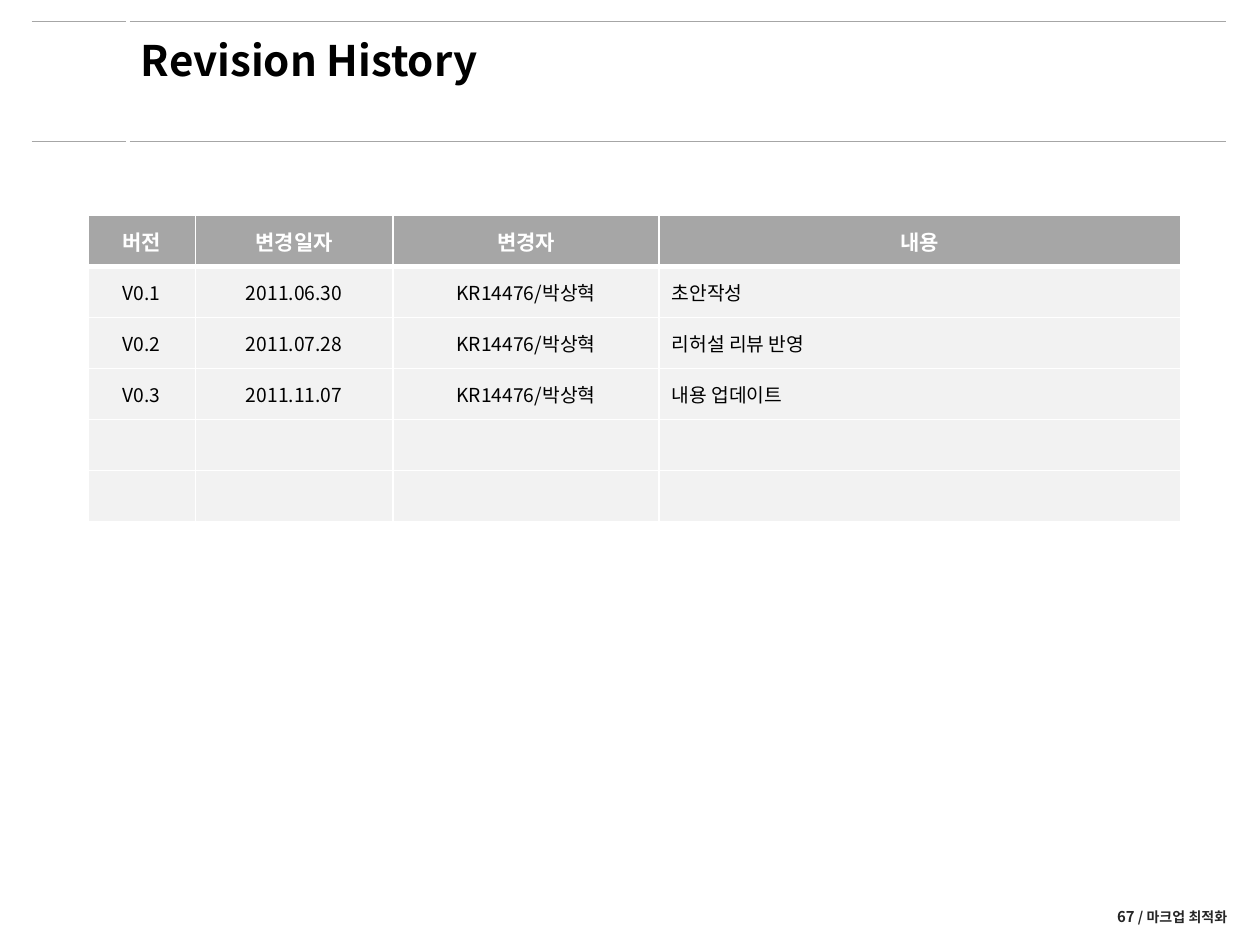
from dataclasses import dataclass
from itertools import product

from lxml.etree import SubElement as Sub
from pptx import Presentation
from pptx.dml.color import RGBColor
from pptx.enum.shapes import MSO_CONNECTOR as Link
from pptx.enum.text import MSO_ANCHOR as Anchor, PP_ALIGN as Align
from pptx.oxml.ns import qn
from pptx.util import Inches, Pt

BLACK = RGBColor(0x00, 0x00, 0x00)
WHITE = RGBColor(0xFF, 0xFF, 0xFF)
DARK = RGBColor(0x26, 0x26, 0x26)
GRAY = RGBColor(0xA6, 0xA6, 0xA6)
PALE = RGBColor(0xF2, 0xF2, 0xF2)
FACE = "Noto Sans CJK KR"

# Format values
HEAD = {"size": Pt(12), "bold": True, "color": WHITE}
BODY = {"size": Pt(11), "bold": False, "color": BLACK}
TITLE = {"size": Pt(24), "bold": True, "color": BLACK}
PAGE = {"size": Pt(8.5), "bold": True, "color": DARK}
FOOT = PAGE | {"size": Pt(8)}

# Table content
WIDTHS = (0.85, 1.57, 2.11, 4.14)
HIGH = 0.405
ROWS = (
    ("버전", "변경일자", "변경자", "내용"),
    ("V0.1", "2011.06.30", "KR14476/박상혁", "초안작성"),
    ("V0.2", "2011.07.28", "KR14476/박상혁", "리허설 리뷰 반영"),
    ("V0.3", "2011.11.07", "KR14476/박상혁", "내용 업데이트"),
    ("",) * 4,
    ("",) * 4,
)


@dataclass
class Label:
    box: tuple[float, float, float, float]
    runs: tuple[tuple[str, dict], ...]
    align: Align


LABELS = (
    Label((6.8, 7.14, 3.04, 0.27),
          (("67", PAGE), (" / 마크업 최적화", FOOT)), Align.RIGHT),
    Label((1.02, 0.23, 8.48, 0.48), (("Revision History", TITLE),), Align.LEFT),
)


def add_run(para, text: str, form: dict) -> None:
    run = para.add_run()
    run.text = text
    for key, value in form.items():
        if key == "color":
            run.font.color.rgb = value
        else:
            setattr(run.font, key, value)
    run.font.name = FACE
    Sub(run.font._element, qn("a:ea"), typeface=FACE)


def add_label(slide, label: Label) -> None:
    frame = slide.shapes.add_textbox(*map(Inches, label.box)).text_frame
    frame.word_wrap = True
    frame.vertical_anchor = Anchor.MIDDLE
    para = frame.paragraphs[0]
    para.alignment = label.align
    for text, form in label.runs:
        add_run(para, text, form)


def add_rule(slide, left: float, right: float, y: float) -> None:
    ends = map(Inches, (left, y, right, y))
    rule = slide.shapes.add_connector(Link.STRAIGHT, *ends)
    rule.line.color.rgb = GRAY
    rule.line.width = Pt(0.25)
    Sub(rule._element.spPr, qn("a:effectLst"))


def add_edge(cell, side: str, width: float) -> None:
    edge = Sub(cell._tc.get_or_add_tcPr(), qn(f"a:ln{side}"), w=str(Pt(width)))
    Sub(Sub(edge, qn("a:solidFill")), qn("a:srgbClr"), val=str(WHITE))


def fill_cell(cell, text: str, row: int, col: int) -> None:
    form = BODY if row else HEAD
    for side in "LRTB":
        thick = (row, side) in ((0, "B"), (1, "T"))
        add_edge(cell, side, 3 if thick else 1)
    cell.fill.solid()
    cell.fill.fore_color.rgb = PALE if row else GRAY
    cell.vertical_anchor = Anchor.MIDDLE
    para = cell.text_frame.paragraphs[0]
    para.alignment = Align.LEFT if row and col == 3 else Align.CENTER
    if text:
        add_run(para, text, form)
    else:
        # Keeps an empty row from growing
        Sub(para._p, qn("a:endParaRPr"), sz=str(int(form["size"].pt * 100)))


def add_grid(slide) -> None:
    box = map(Inches, (0.7, 1.71, sum(WIDTHS), HIGH * len(ROWS)))
    table = slide.shapes.add_table(len(ROWS), len(WIDTHS), *box).table
    for col, width in zip(table.columns, WIDTHS):
        col.width = Inches(width)
    for i, line in enumerate(ROWS):
        table.rows[i].height = Inches(HIGH)
        for j, text in enumerate(line):
            fill_cell(table.cell(i, j), text, i, j)


def main() -> None:
    deck = Presentation()
    deck.slide_width, deck.slide_height = Inches(10), Inches(7.5)
    slide = deck.slides.add_slide(deck.slide_layouts[6])

    # Header rules
    for (left, right), y in product(((1.03, 9.73), (0.25, 1)), (1.12, 0.17)):
        add_rule(slide, left, right, y)

    # Footer and title
    for label in LABELS:
        add_label(slide, label)

    # Revision table
    add_grid(slide)
    deck.save("out.pptx")


if __name__ == "__main__":
    main()
